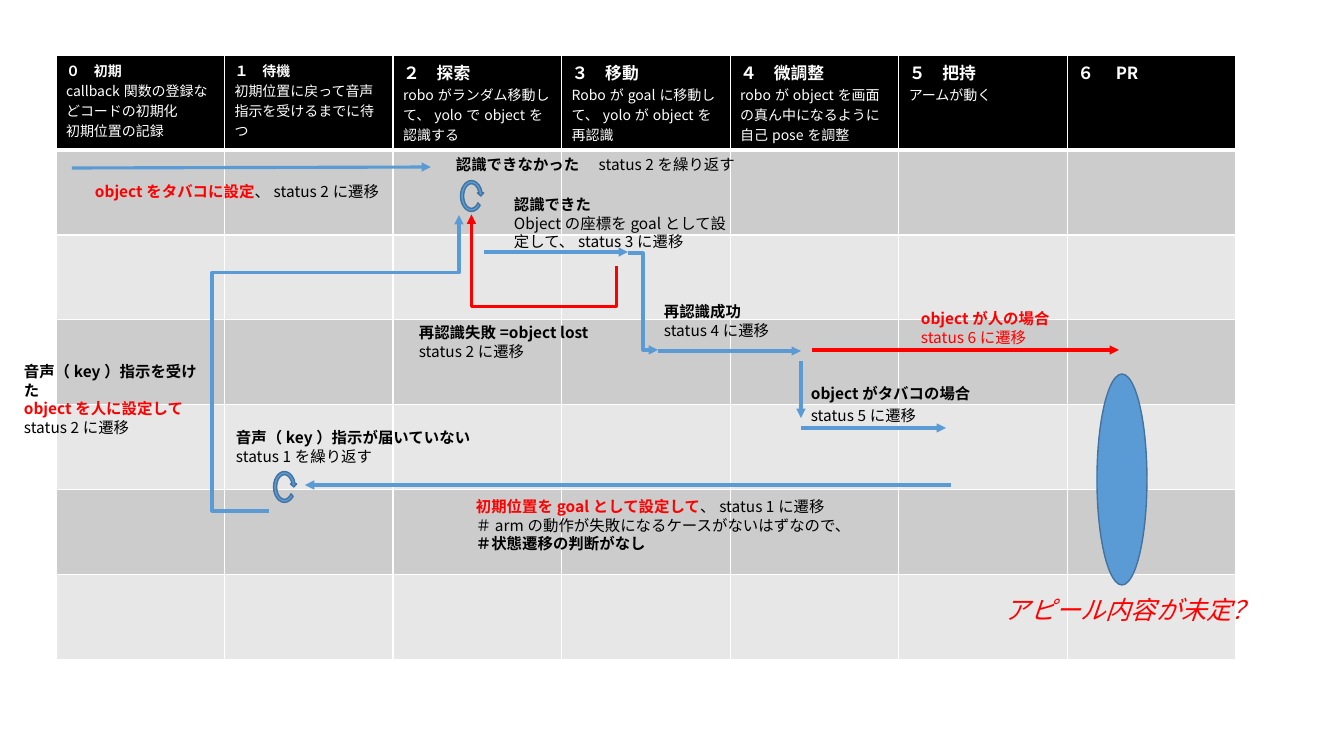
import pptx
import pptx.util
import pptx.dml.color
import pptx.enum.shapes
import pptx.oxml
import pptx.oxml.ns
from lxml import etree

BLUE = pptx.dml.color.RGBColor(0x5B, 0x9B, 0xD5)
DARK_BLUE = pptx.dml.color.RGBColor(0x43, 0x73, 0x9E)
RED = pptx.dml.color.RGBColor(0xFF, 0x00, 0x00)
BLACK = pptx.dml.color.RGBColor(0x00, 0x00, 0x00)
WHITE = pptx.dml.color.RGBColor(0xFF, 0xFF, 0xFF)
DARK_BAND = pptx.dml.color.RGBColor(0xCC, 0xCC, 0xCC)
LIGHT_BAND = pptx.dml.color.RGBColor(0xE7, 0xE7, 0xE7)

EMU_PER_PIXEL = 914400 / 100.8
SHAPES = pptx.enum.shapes.MSO_SHAPE
CONNECTORS = pptx.enum.shapes.MSO_CONNECTOR


def px(*lengths):
    """Turn pixel lengths into EMU."""
    return [pptx.util.Emu(round(length * EMU_PER_PIXEL)) for length in lengths]


def add_child(parent, tag, **attributes):
    """Append an XML element with the given attributes."""
    child = etree.SubElement(parent, pptx.oxml.ns.qn(tag))
    for name, value in attributes.items():
        child.set(name, str(value))
    return child


class StatusSlide:
    """Style and drawing methods for the status transition slide."""

    font_name = "Noto Sans CJK JP"
    line_ratio = 1.21

    def __init__(self, slide):
        """Keep the slide to draw on."""
        self.slide = slide

    def style_run(self, run, size, color, bold=False, italic=False):
        """Set the font of one run for Latin and East Asian text."""
        font = run.font
        font.size, font.bold, font.italic = pptx.util.Pt(size), bold, italic
        font.color.rgb = color
        font.name = self.font_name
        add_child(run._r.get_or_add_rPr(), "a:ea", typeface=self.font_name)

    def border(self, cell, bottom, top):
        """Give a cell white borders."""
        properties = cell._tc.get_or_add_tcPr()
        for tag, width in (("a:lnL", 1), ("a:lnR", 1), ("a:lnT", top), ("a:lnB", bottom)):
            line = add_child(properties, tag, w=pptx.util.Pt(width))
            add_child(add_child(line, "a:solidFill"), "a:srgbClr", val=WHITE)

    def table(self, left, top, width, row_height, body_rows, headers):
        """Draw the banded status table with a black header row."""
        count = len(headers)
        frame = self.slide.shapes.add_table(
            body_rows + 1, count, *px(left, top, width, row_height * (body_rows + 1)))
        table = frame.table
        for column in table.columns:
            column.width = px(width / count)[0]
        for row_index, row in enumerate(table.rows):
            row.height = px(row_height)[0]
            band = DARK_BAND if row_index % 2 else LIGHT_BAND
            for cell in row.cells:
                self.border(cell, 1 if row_index else 3, 3 if row_index == 1 else 1)
                cell.fill.solid()
                cell.fill.fore_color.rgb = band if row_index else BLACK
        for cell, (title_size, *lines) in zip(table.rows[0].cells, headers):
            cell.text_frame.text = "\n".join(lines)
            for index, paragraph in enumerate(cell.text_frame.paragraphs):
                size = 10 if index else title_size
                self.style_run(paragraph.runs[0], size, WHITE, bold=index == 0)

    def label(self, left, top, width, height, paragraphs, size=11, italic=False):
        """Draw a text box; each paragraph is a list of (text, color, bold)."""
        box = self.slide.shapes.add_textbox(*px(left, top, width, height))
        frame = box.text_frame
        frame.word_wrap = True
        for index, runs in enumerate(paragraphs):
            paragraph = frame.add_paragraph() if index else frame.paragraphs[0]
            paragraph.line_spacing = pptx.util.Pt(size * self.line_ratio)
            for text, color, bold in runs:
                run = paragraph.add_run()
                run.text = text
                self.style_run(run, size, color, bold, italic)

    def arrow(self, start, end, color=BLUE, kind=CONNECTORS.STRAIGHT):
        """Draw an arrow from start to end."""
        connector = self.slide.shapes.add_connector(kind, *px(*start, *end))
        connector.line.color.rgb = color
        connector.line.width = pptx.util.Pt(2.25)
        add_child(connector.line._get_or_add_ln(), "a:tailEnd", type="triangle")
        add_child(connector._element.spPr, "a:effectLst")
        return connector

    def elbow(self, start, end, color=BLUE, rotation=0, adjustments=(50000,)):
        """Draw a bent arrow; start and end are taken before the rotation."""
        properties = self.arrow(start, end, color, CONNECTORS.ELBOW)._element.spPr
        properties.find(pptx.oxml.ns.qn("a:xfrm")).set("rot", str(rotation * 60000))
        geometry = properties.find(pptx.oxml.ns.qn("a:prstGeom"))
        geometry.set("prst", f"bentConnector{len(adjustments) + 2}")
        guides = geometry.find(pptx.oxml.ns.qn("a:avLst"))
        if guides is None:
            guides = add_child(geometry, "a:avLst")
        for index, value in enumerate(adjustments, 1):
            add_child(guides, "a:gd", name=f"adj{index}", fmla=f"val {value}")

    def shape(self, kind, left, top, width, height):
        """Draw a blue preset shape."""
        shape = self.slide.shapes.add_shape(kind, *px(left, top, width, height))
        shape.shadow.inherit = False
        shape.fill.solid()
        shape.fill.fore_color.rgb = BLUE
        shape.line.color.rgb = DARK_BLUE
        shape.line.width = pptx.util.Pt(1)
        return shape

    def repeat_arrow(self, left, top):
        """Draw the circular arrow of a status that repeats."""
        self.shape(SHAPES.CIRCULAR_ARROW, left, top, 25, 34).adjustments[3] = 27.98


HEADERS = [
    (10, "０　初期", "callback関数の登録などコードの初期化", "初期位置の記録"),
    (10, "１　待機", "初期位置に戻って音声指示を受けるまでに待つ"),
    (12, "２　探索", "roboがランダム移動して、yoloでobjectを認識する"),
    (12, "３　移動", "Roboがgoalに移動して、yoloがobjectを再認識"),
    (12, "４　微調整", "roboがobjectを画面の真ん中になるように自己poseを調整"),
    (12, "５　把持", "アームが動く"),
    (12, "６　PR"),
]

LABELS = [
    (446, 150, 303, 29, [[("認識できなかった　", BLACK, True),
                          ("status 2を繰り返す", BLACK, False)]]),
    (504, 190, 233, 67, [[("認識できた", BLACK, True)],
                         [("Objectの座標をgoalとして設定して、status 3に遷移", BLACK, False)]]),
    (85, 177, 320, 29, [[("objectをタバコに設定", RED, True),
                         ("、status 2に遷移", BLACK, False)]]),
    (654, 297, 219, 47, [[("再認識成功", BLACK, True)], [("status 4に遷移", BLACK, False)]]),
    (409, 318, 219, 47, [[("再認識失敗=object lost", BLACK, True)],
                         [("status 2に遷移", BLACK, False)]]),
    (801, 401, 194, 29, [[("status 5に遷移", BLACK, False)]]),
    (466, 492, 404, 67, [[("初期位置をgoalとして設定して", RED, True),
                          ("、status 1に遷移", BLACK, False)],
                         [("＃armの動作が失敗になるケースがないはずなので、", BLACK, False)],
                         [("＃状態遷移の判断がなし", BLACK, True)]]),
    (226, 423, 258, 47, [[("音声（key）指示が届いていない", BLACK, True)],
                         [("status 1を繰り返す", BLACK, False)]]),
    (14, 357, 202, 67, [[("音声（key）指示を受けた", BLACK, True)],
                        [("objectを人に設定して", RED, True)],
                        [("status 2に遷移", BLACK, False)]]),
    (801, 379, 194, 29, [[("objectがタバコの場合", BLACK, True)]]),
    (911, 304, 194, 47, [[("objectが人の場合", RED, True)], [("status 6に遷移", RED, False)]]),
]

ARROWS = [
    ((72, 168), (431, 167), BLUE),
    ((484, 252), (628, 252), BLUE),
    ((658, 351), (801, 351), BLUE),
    ((801, 428), (946, 428), BLUE),
    ((951, 485), (305, 485), BLUE),
    ((801, 361), (801, 418), BLUE),
    ((812, 350), (1119, 350), RED),
]


def main():
    """Build the slide and save it."""
    presentation = pptx.Presentation()
    presentation.slide_width, presentation.slide_height = px(1344, 756)
    slide = presentation.slides.add_slide(presentation.slide_layouts[6])
    status = StatusSlide(slide)
    status.table(56, 55, 1180, 85, 6, HEADERS)
    for start, end, color in ARROWS:
        status.arrow(start, end, color)
    status.elbow((628, 253), (658, 350))
    status.elbow((570, 168), (518, 313), RED, 90, (-77700,))
    status.elbow((459, 215), (269, 511), BLUE, 180, (-30000, 80500))
    status.repeat_arrow(459, 179)
    status.repeat_arrow(272, 470)
    status.shape(SHAPES.OVAL, 1097, 374, 50, 211)
    for label in LABELS:
        status.label(*label)
    status.label(995, 589, 311, 40, [[("アピール内容が未定？", RED, False)]], 18, True)
    presentation.save("out.pptx")


main()
